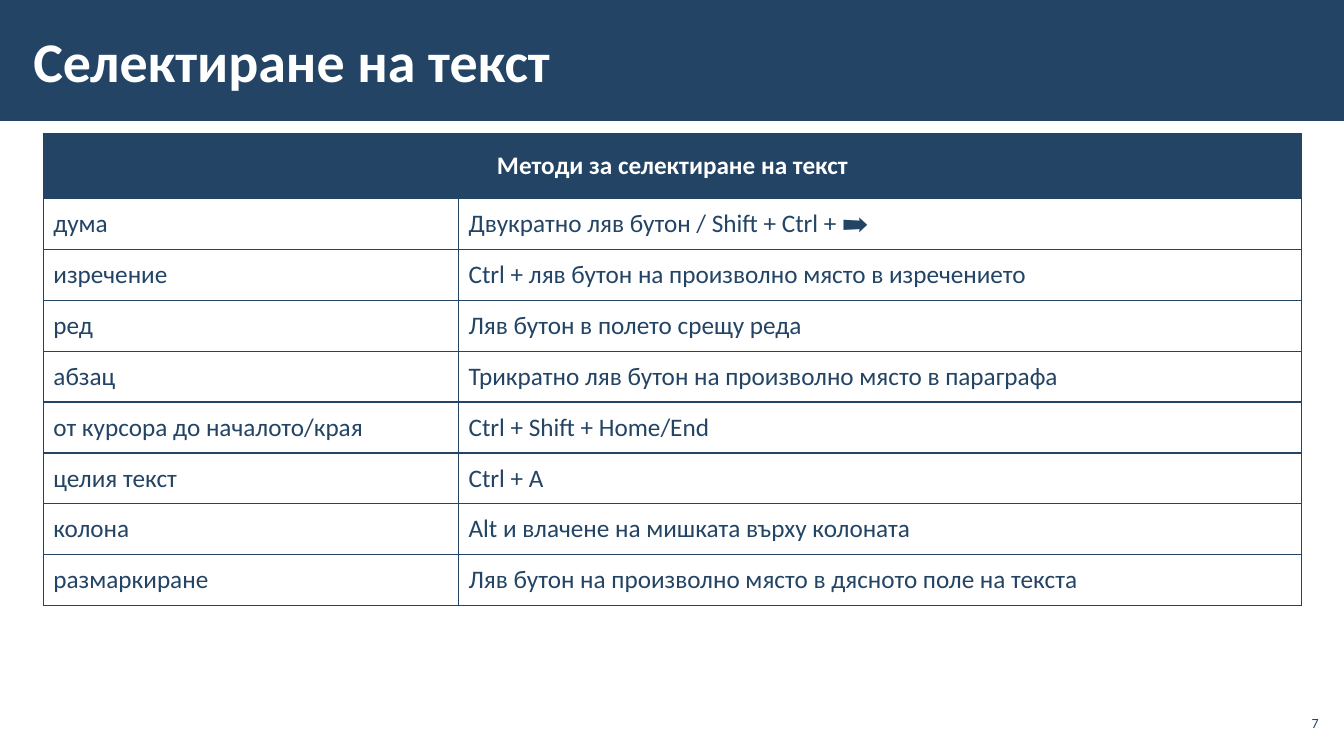
from lxml.etree import SubElement
from pptx import Presentation
from pptx.dml.color import RGBColor
from pptx.enum.shapes import MSO_SHAPE
from pptx.enum.text import MSO_ANCHOR, PP_ALIGN
from pptx.oxml.ns import qn
from pptx.util import Inches, Pt

WIDTH, HEIGHT = 13.33, 7.5
NAVY, WHITE = "234465", "FFFFFF"
HEADING = "Методи за селектиране на текст"
METHODS = [
    ("дума", "Двукратно ляв бутон / Shift + Ctrl + ➡"),
    ("изречение", "Ctrl + ляв бутон на произволно място в изречението"),
    ("ред", "Ляв бутон в полето срещу реда"),
    ("абзац", "Трикратно ляв бутон на произволно място в параграфа"),
    ("от курсора до началото/края", "Ctrl + Shift + Home/End"),
    ("целия текст", "Ctrl + A"),
    ("колона", "Alt и влачене на мишката върху колоната"),
    ("размаркиране", "Ляв бутон на произволно място в дясното поле на текста"),
]


def paint(color_format, color):
    color_format.rgb = RGBColor.from_string(color)


def fill_solid(target, color):
    target.fill.solid()
    paint(target.fill.fore_color, color)


def write(frame, text, size=18, color=NAVY, bold=False, align=PP_ALIGN.LEFT):
    para = frame.paragraphs[0]
    para.alignment = align
    span = para.add_run()
    span.text = text
    span.font.name = "Calibri"
    span.font.size = Pt(size)
    span.font.bold = bold
    paint(span.font.color, color)


def add_text(page, box, text, inset_x=0.04, **style):
    """Place one line of vertically centred text in the box."""
    frame = page.shapes.add_textbox(*map(Inches, box)).text_frame
    frame.word_wrap = True
    frame.vertical_anchor = MSO_ANCHOR.MIDDLE
    frame.margin_left = frame.margin_right = Inches(inset_x)
    frame.margin_top = frame.margin_bottom = Inches(0.04)
    write(frame, text, **style)


def add_title_band(page, box, title):
    left, top, width, height = box
    band = page.shapes.add_shape(MSO_SHAPE.RECTANGLE, *map(Inches, box))
    band.shadow.inherit = False
    fill_solid(band, NAVY)
    band.line.fill.background()
    title_box = (left + 0.21, top + 0.11, width * 0.78, height * 0.81)
    add_text(page, title_box, title, inset_x=0.12, size=40, color=WHITE, bold=True)


def style_cell(cell, fill, margin_y):
    """Give a cell its borders, fill and margins."""
    properties = cell._tc.get_or_add_tcPr()
    for side in ("a:lnL", "a:lnR", "a:lnT", "a:lnB"):
        border = SubElement(properties, qn(side), w=str(Pt(1)))
        SubElement(SubElement(border, qn("a:solidFill")), qn("a:srgbClr"), val=NAVY)
    fill_solid(cell, fill)
    cell.vertical_anchor = MSO_ANCHOR.MIDDLE
    cell.margin_left = cell.margin_right = Inches(0.1)
    cell.margin_top = cell.margin_bottom = Inches(margin_y)


def add_methods_table(page, box, heading, methods):
    left, top, width, height = box
    header_height = 0.64
    row_height = (height - header_height) / len(methods)
    table = page.shapes.add_table(len(methods) + 1, 2, *map(Inches, box)).table
    for column, share in zip(table.columns, (0.33, 0.67)):
        column.width = Inches(width * share)
    for index, row in enumerate(table.rows):
        row.height = Inches(row_height if index else header_height)
        for cell in row.cells:
            style_cell(cell, WHITE if index else NAVY, 0.1 if index else 0.05)
    header = table.cell(0, 0)
    header.merge(table.cell(0, 1))
    write(header.text_frame, heading, color=WHITE, bold=True, align=PP_ALIGN.CENTER)
    for index, method in enumerate(methods, start=1):
        for column, text in enumerate(method):
            write(table.cell(index, column).text_frame, text)


def main():
    deck = Presentation()
    deck.slide_width, deck.slide_height = Inches(WIDTH), Inches(HEIGHT)
    page = deck.slides.add_slide(deck.slide_layouts[6])
    fill_solid(page.background, WHITE)
    add_title_band(page, (0, 0, WIDTH, HEIGHT * 0.16), "Селектиране на текст")
    add_methods_table(page, (0.43, 1.33, 12.48, 4.68), HEADING, METHODS)
    add_text(page, (12.65, 7, 0.47, 0.34), "7", size=10, align=PP_ALIGN.RIGHT)
    deck.save("out.pptx")


if __name__ == "__main__":
    main()
